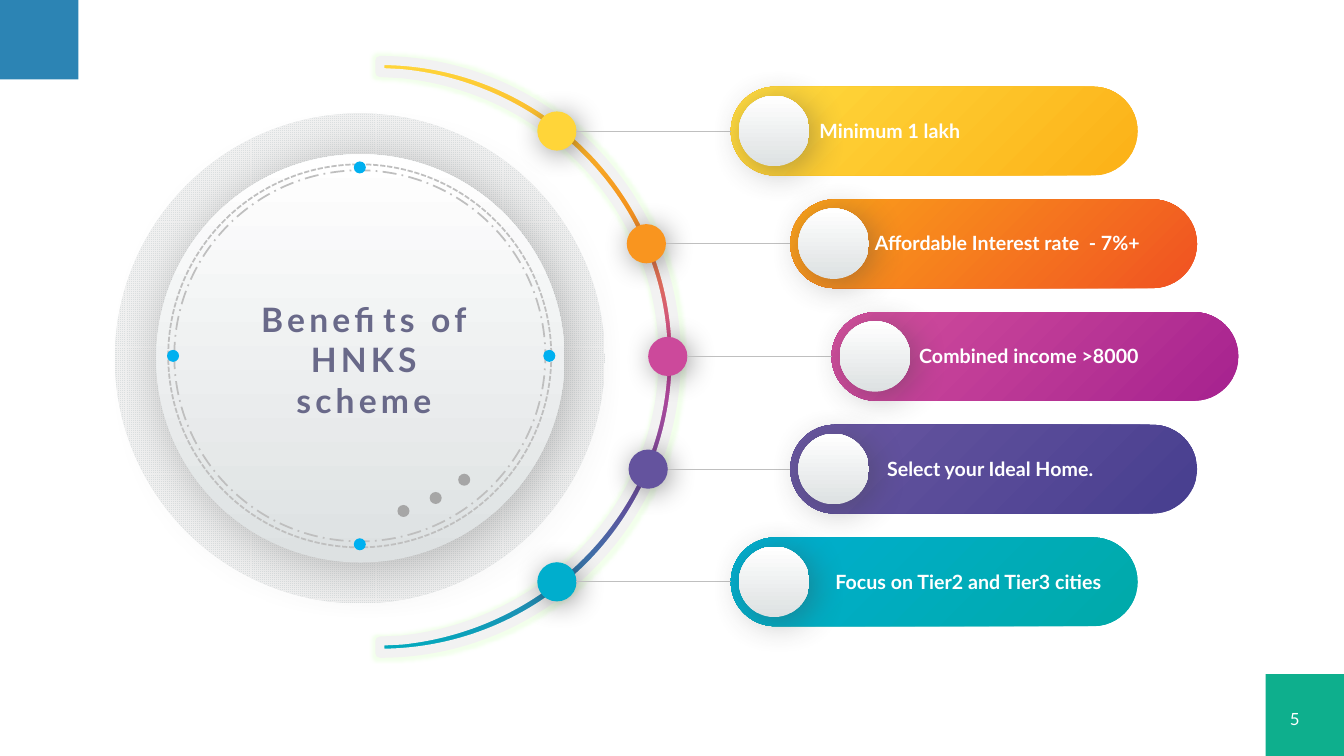
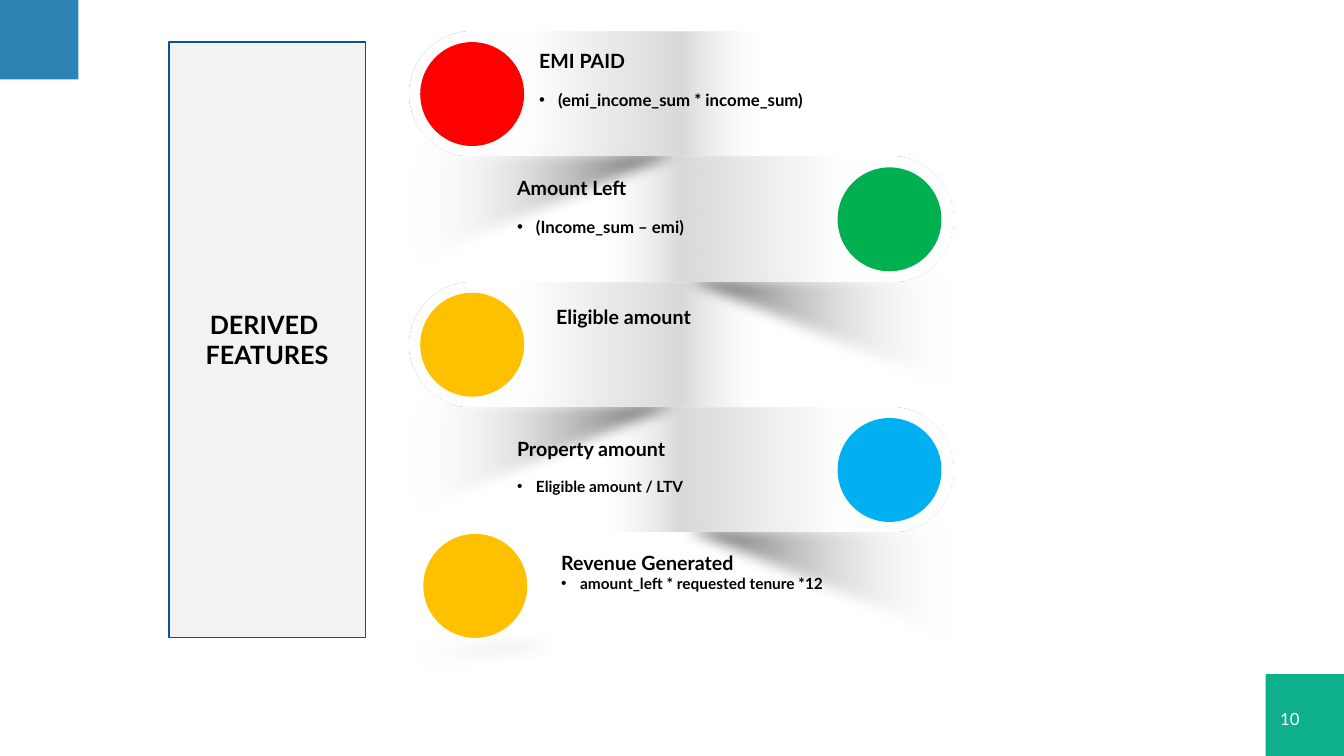
from dataclasses import dataclass

from lxml.etree import SubElement
from pptx import Presentation
from pptx.dml.color import RGBColor
from pptx.enum.dml import MSO_LINE, MSO_PATTERN
from pptx.enum.shapes import MSO_CONNECTOR, MSO_SHAPE
from pptx.enum.text import MSO_ANCHOR, PP_ALIGN
from pptx.oxml.ns import qn
from pptx.util import Pt

RECT, OVAL, PILL = MSO_SHAPE.RECTANGLE, MSO_SHAPE.OVAL, MSO_SHAPE.ROUNDED_RECTANGLE
WEDGE, BAND = MSO_SHAPE.RIGHT_TRIANGLE, MSO_SHAPE.ROUND_2_SAME_RECTANGLE
LEFT, MID, RIGHT = PP_ALIGN.LEFT, PP_ALIGN.CENTER, PP_ALIGN.RIGHT
CENTER = MSO_ANCHOR.MIDDLE
DASHES = MSO_LINE.SQUARE_DOT, MSO_LINE.LONG_DASH_DOT
GRID, LINE = MSO_PATTERN.SMALL_GRID, MSO_CONNECTOR.STRAIGHT


@dataclass(frozen=True)
class Theme:
    font: str = "Lato"
    blue: str = "2C84B4"
    green: str = "0EAF8D"
    white: str = "FFFFFF"
    black: str = "000000"
    pale: str = "F2F2F2"
    steel: str = "DDE1E2"
    rule: str = "BFBFBF"
    gray: str = "A6A6A6"
    sky: str = "00B0F0"
    gold: str = "FFC000"
    title: str = "696989"
    navy: str = "0B5292"
    small: int = 11
    note: int = 12
    body: int = 14
    label: int = 18
    head: int = 24


T = Theme()
# Gradients are (clockwise angle, stops); a stop is position, colour, opacity.
DOME = (270, [(0, T.steel, 100), (100, T.white, 100)])
FOLD = (90, [(33, T.white, 100), (78, "D9D9D9", 100), (100, "F0F0F0", 0)])
SHADE = (0, [(0, T.white, 0), (95, T.black, 100)])
BOW = (90, [(0, "FFD63A", 100), (25, "F4941D", 100), (50, "C74399", 100),
            (75, "60509C", 100), (100, "00ACBE", 100)])
# Effects are (tag, attributes, colour, opacity).
DEEP, SOFT, KNOB = [
    ("outerShdw", {"blurRad": Pt(blur), "dist": Pt(dist), "dir": 45 * 60000}, tint, 40)
    for blur, dist, tint in [(40, 6, "595959"), (20, 3, T.black), (26, 5, "404040")]]
GLOW = ("glow", {"rad": Pt(4)}, "CCFFB3", 25)
BLUR = ("softEdge", {"rad": Pt(10)}, None, 100)


def paint(shape, fill=None, effect=None, edge=None):
    """Set fill (hex, gradient or none), effect and edge (colour, width)."""
    tints = []
    props = shape._element.spPr
    if isinstance(fill, str):
        shape.fill.solid()
        shape.fill.fore_color.rgb = RGBColor.from_string(fill)
    else:
        shape.fill.background()
    if isinstance(fill, tuple):
        angle, stops = fill
        blank = props.find(qn("a:noFill"))
        grad = SubElement(props, qn("a:gradFill"), rotWithShape="1")
        props.replace(blank, grad)
        group = SubElement(grad, qn("a:gsLst"))
        for pos, tint, alpha in stops:
            tints.append((SubElement(group, qn("a:gs"), pos=str(pos * 1000)), tint, alpha))
        SubElement(grad, qn("a:lin"), ang=str(angle * 60000), scaled="0")
    if edge:
        shape.line.color.rgb = RGBColor.from_string(edge[0])
        shape.line.width = Pt(edge[1])
    else:
        shape.line.fill.background()
    shape.shadow.inherit = False
    if effect:
        tag, attrs, tint, alpha = effect
        node = SubElement(props.find(qn("a:effectLst")), qn("a:" + tag),
                          {key: str(int(val)) for key, val in attrs.items()})
        if tint:
            tints.append((node, tint, alpha))
    for node, tint, alpha in tints:
        color = SubElement(node, qn("a:srgbClr"), val=tint)
        if alpha < 100:
            SubElement(color, qn("a:alpha"), val=str(alpha * 1000))
    return shape


def write(shape, lines, size, tint, align=LEFT, bold=True):
    """Fill a shape with one paragraph per line and return them."""
    frame = shape.text_frame
    frame.word_wrap = True
    frame.text = "\n".join(lines)
    for para in frame.paragraphs:
        para.alignment = align
        para.font.name = T.font
        para.font.size = Pt(size)
        para.font.bold = bold
        para.font.color.rgb = RGBColor.from_string(tint)
    return frame.paragraphs


deck = Presentation()
deck.slide_width, deck.slide_height = Pt(960), Pt(540)

# Shared corners and page number
pages = []
for number in ("5", "10"):
    page = deck.slides.add_slide(deck.slide_layouts[6]).shapes
    paint(page.add_shape(RECT, 0, 0, Pt(56), Pt(56.8)), T.blue)
    paint(page.add_shape(RECT, *map(Pt, (904, 481.6, 56, 58.4))), T.green)
    box = page.add_textbox(*map(Pt, (711.4, 498.6, 224, 29)))
    write(box, [number], T.note, T.white, RIGHT, False)
    box.text_frame.vertical_anchor = CENTER
    pages.append(page)
wheel, folds = pages

# Benefits: disc
disc = paint(wheel.add_shape(OVAL, *map(Pt, (82, 81, 350, 350))), T.pale)
disc.fill.patterned()
disc.fill.pattern = GRID
disc.fill.fore_color.rgb = RGBColor.from_string(T.pale)
disc.fill.back_color.rgb = RGBColor.from_string(T.steel)
paint(wheel.add_shape(OVAL, *map(Pt, (111.6, 110.2, 291.6, 291.6))), DOME, DEEP)

# Benefits: half ring, with each curve given as two handles and an end
dots = [(388.5, 43.2), (483.1, 137.8), (483.1, 254.9),
        (483.1, 372), (388.5, 466.6), (271.4, 466.6),
        (271.4, 457.9), (286.6, 457.2),
        (391.7, 446.4), (473.8, 360), (473.8, 254.9),
        (473.8, 149.8), (391.7, 62.6), (286.6, 52.6), (271.4, 51.8)]
pen = wheel.build_freeform(Pt(271.4), Pt(43.2), scale=1.0)
pen.add_line_segments([(Pt(x), Pt(y)) for x, y in dots], close=True)
ring = paint(pen.convert_to_shape(), BOW, GLOW, (T.pale, 6.5))
steps = list(ring._element.spPr.iter(qn("a:lnTo")))
for first in (0, 3, 8, 11):
    track = steps[first].getparent()
    curve = SubElement(track, qn("a:cubicBezTo"))
    track.replace(steps[first], curve)
    curve.append(steps[first][0])
    for step in steps[first + 1:first + 3]:
        curve.append(step[0])
        track.remove(step)

# Benefits: one row each of dot, line, pill, knob and text
rows = [
    ("Minimum 1 lakh", 522, 383.8, 578.2, "FFD539", "FCB117", "FFDB3F"),
    ("Affordable Interest rate  - 7%+", 564.5, 447.7, 617.8, "F9951F", "F05222", "FBA31A"),
    ("Combined income >8000", 594, 463, 649.5, "CC499B", "A6228F", "D3509D"),
    ("Select your Ideal Home.", 564.5, 449, 626.5, "64539E", "473E8F", "6957A1"),
    ("Focus on Tier2 and Tier3 cities", 522, 383.8, 589.7, "00AECD", "00AAA9", "00AED0"),
]
for i, (text, left, dot, start, tint, dark, light) in enumerate(rows):
    mid = 93.6 + 80.5 * i
    pill = paint(wheel.add_shape(PILL, *map(Pt, (left, mid - 31.7, 290.6, 63.4))),
                 (225, [(0, dark, 100), (100, light, 100)]))
    pill.adjustments[0] = 0.5
    paint(wheel.add_shape(OVAL, *map(Pt, (dot, mid - 14, 28, 28))), tint, SOFT)
    link = wheel.add_connector(LINE, *map(Pt, (dot + 28, mid, left, mid)))
    link.line.color.rgb = RGBColor.from_string(T.rule)
    link.line.width = Pt(0.5)
    SubElement(link._element.spPr, qn("a:effectLst"))
    paint(wheel.add_shape(OVAL, *map(Pt, (left + 5.8, mid - 25.2, 50.4, 50.4))), DOME, KNOB)
    write(wheel.add_textbox(*map(Pt, (start, mid - 12.4, 245, 24.5))),
          [text], T.body, T.white)

# Benefits: dashed rings, small dots and title
for size, dash in zip((273.6, 265), DASHES):
    ring = wheel.add_shape(OVAL, *map(Pt, (257 - size / 2, 254.2 - size / 2, size, size)))
    paint(ring, edge=(T.rule, 1.25)).line.dash_style = dash
for tint, spots in [(T.sky, [(257, 119.6), (257, 388.8), (392.4, 254.2), (123.6, 254.2)]),
                    (T.gray, [(288.2, 365), (311.2, 355.7), (331.6, 342.7)])]:
    for x, y in spots:
        paint(wheel.add_shape(OVAL, *map(Pt, (x - 4.3, y - 4.3, 8.6, 8.6))), tint)
title = wheel.add_textbox(*map(Pt, (162.7, 210, 194.4, 124)))
for para in write(title, ["Benefits of", "HNKS", "scheme"], T.head, T.title, MID):
    for run in para.runs:
        run._r.get_or_add_rPr().set("spc", "300")

# Features: folded bands, lowest first so that each covers the shade below it
for i, tint in reversed(list(enumerate(["FF0000", "00B050", T.gold, T.sky]))):
    odd = i % 2
    mid = 67 + 89.5 * i
    wedge = paint(folds.add_shape(
        WEDGE, *map(Pt, (432.7 if odd else 285.8, mid + 33, 255, 103))), SHADE, BLUR)
    frame = wedge._element.spPr.find(qn("a:xfrm"))
    frame.set("flipV", "1")
    frame.set("flipH", str(odd))
    band = paint(folds.add_shape(
        BAND, *map(Pt, (512.6 if odd else 372.2, mid - 124.2, 88.6, 248.4))), FOLD)
    band.adjustments[0], band.adjustments[1] = 0.5, 0
    band.rotation = 90 if odd else 270
    paint(folds.add_shape(
        OVAL, *map(Pt, (598.3 if odd else 300.2, mid - 36.9, 74.2, 74.2))), tint)

# Features: name, formula, left, top, formula size, gap above the formula
items = [
    ("EMI PAID", "(emi_income_sum * income_sum)", 378, 31.7, T.note, 12),
    ("Amount Left", "(Income_sum – emi)", 362.2, 122.4, T.note, 12),
    ("Eligible amount", None, 390.2, 214.6, T.small, 0),
    ("Property amount", "Eligible amount / LTV", 362.2, 308.5, T.small, 12),
    ("Revenue Generated", "amount_left * requested tenure *12", 393.8, 389.8, T.small, 0),
]
for name, rule, left, top, size, gap in items:
    box = folds.add_textbox(*map(Pt, (left, top, 250, 50 + gap)))
    paras = write(box, [name, rule] if rule else [name], T.body, T.black)
    for para in paras[1:]:
        para.font.size = Pt(size)
        para.space_before = Pt(gap)
        props = para._p.get_or_add_pPr()
        props.set("marL", str(Pt(13.5)))
        props.set("indent", str(-Pt(13.5)))
        last = props.find(qn("a:defRPr"))
        last.addprevious(SubElement(props, qn("a:buFont"), typeface="Arial"))
        last.addprevious(SubElement(props, qn("a:buChar"), char="•"))

# Features: last item without a band
wedge = paint(folds.add_shape(WEDGE, *map(Pt, (288, 450.7, 255, 36.7))), SHADE, BLUR)
wedge._element.spPr.find(qn("a:xfrm")).set("flipV", "1")
paint(folds.add_shape(OVAL, *map(Pt, (302.4, 381.4, 74.2, 74.2))), T.gold)

# Features: side label
label = paint(folds.add_shape(RECT, *map(Pt, (120.6, 29.9, 140.4, 425.5))),
              T.pale, edge=(T.navy, 1))
write(label, ["DERIVED ", "FEATURES"], T.label, T.black, MID)
label.text_frame.vertical_anchor = CENTER

deck.save("out.pptx")
